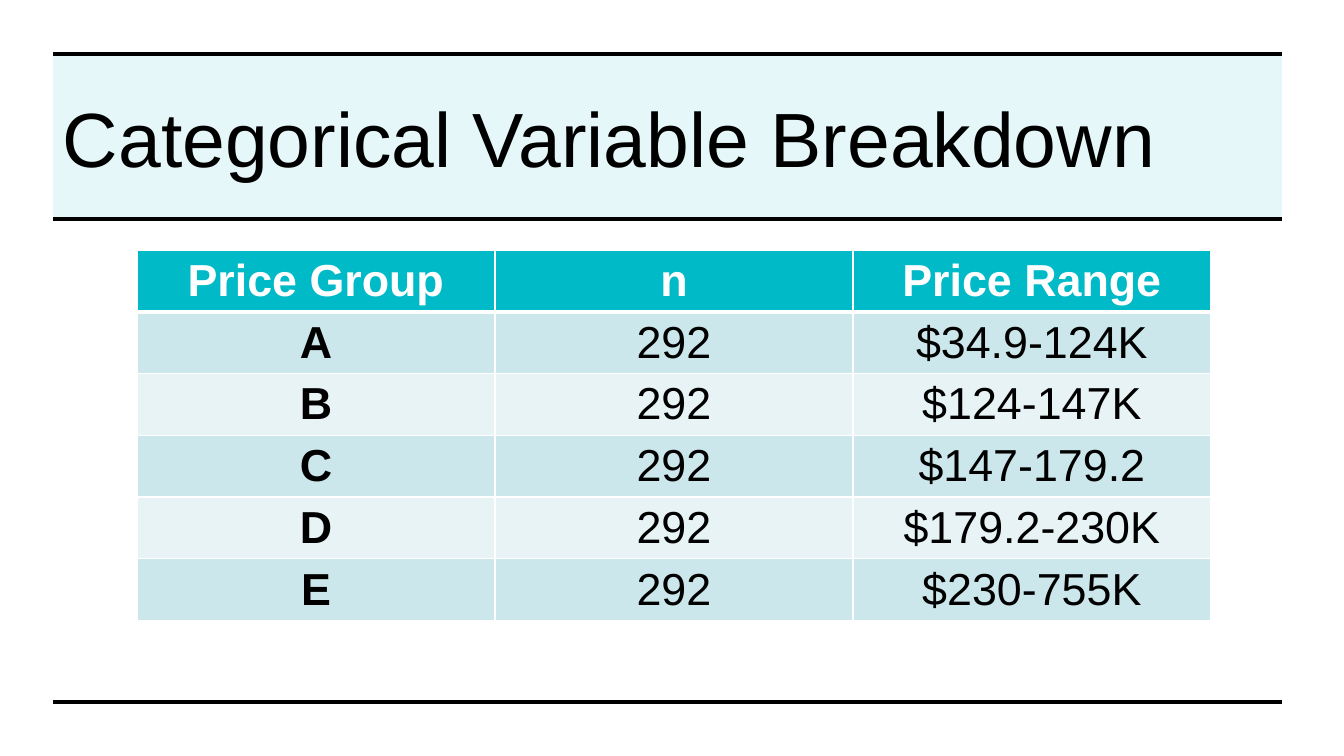
from lxml import etree
from pptx import Presentation
from pptx.dml.color import RGBColor
from pptx.enum.shapes import MSO_CONNECTOR, MSO_SHAPE
from pptx.enum.text import MSO_ANCHOR, PP_ALIGN
from pptx.oxml.ns import qn
from pptx.util import Pt

EMU_PER_PX = 914400 / 100.8
STRAIGHT = MSO_CONNECTOR.STRAIGHT
RECTANGLE = MSO_SHAPE.RECTANGLE
MIDDLE = MSO_ANCHOR.MIDDLE
LEFT, CENTER = PP_ALIGN.LEFT, PP_ALIGN.CENTER

BLACK = RGBColor(0x00, 0x00, 0x00)
WHITE = RGBColor(0xFF, 0xFF, 0xFF)
TEAL = RGBColor(0x00, 0xBA, 0xC8)
BAND_DARK = RGBColor(0xCC, 0xE7, 0xEB)
BAND_LIGHT = RGBColor(0xE7, 0xF3, 0xF5)

RULE_LEFT, RULE_RIGHT = 53, 1282
RULE_TOPS = (54, 219, 702)
COLUMN_WIDTH, ROW_HEIGHT = 358, 60
HEADINGS = ("Price Group", "n", "Price Range")
PRICE_GROUPS = (
    ("A", "292", "$34.9-124K"),
    ("B", "292", "$124-147K"),
    ("C", "292", "$147-179.2"),
    ("D", "292", "$179.2-230K"),
    ("E", "292", "$230-755K"),
)


def px(length):
    return round(length * EMU_PER_PX)


def write_text(frame, text, *, size, color=BLACK, bold=False, align=LEFT):
    paragraph = frame.paragraphs[0]
    paragraph.alignment = align
    run = paragraph.add_run()
    run.text = text
    run.font.name = "Arial"
    run.font.size = Pt(size)
    run.font.bold = bold
    run.font.color.rgb = color


def add_title_band(slide, left, top, width, height):
    """Add a teal rectangle at 10% opacity."""
    band = slide.shapes.add_shape(RECTANGLE, px(left), px(top), px(width), px(height))
    band.shadow.inherit = False
    band.line.fill.background()
    band.fill.solid()
    band.fill.fore_color.rgb = TEAL
    color = band.fill._xPr.find(qn("a:solidFill"))[0]
    etree.SubElement(color, qn("a:alpha"), val="10000")


def add_title(slide, text, left, top, width, height):
    box = slide.shapes.add_textbox(px(left), px(top), px(width), px(height))
    box.text_frame.word_wrap = True
    box.text_frame.vertical_anchor = MIDDLE
    write_text(box.text_frame, text, size=54.9)


def add_rule(slide, top):
    rule = slide.shapes.add_connector(
        STRAIGHT, px(RULE_LEFT), px(top), px(RULE_RIGHT), px(top))
    rule.line.color.rgb = BLACK
    rule.line.width = Pt(2.25)
    etree.SubElement(rule._element.spPr, qn("a:effectLst"))


def set_borders(cell, **widths):
    """Draw white cell borders; widths are in points, keyed by side."""
    properties = cell._tc.get_or_add_tcPr()
    for side, width in widths.items():
        border = etree.SubElement(properties, qn(f"a:ln{side}"), w=str(Pt(width)))
        fill = etree.SubElement(border, qn("a:solidFill"))
        etree.SubElement(fill, qn("a:srgbClr"), val=str(WHITE))


def add_price_table(slide, left, top):
    rows = (HEADINGS, *PRICE_GROUPS)
    table = slide.shapes.add_table(
        len(rows), len(HEADINGS), px(left), px(top),
        px(COLUMN_WIDTH * len(HEADINGS)), px(ROW_HEIGHT * len(rows))).table
    for column in table.columns:
        column.width = px(COLUMN_WIDTH)
    for row_index, values in enumerate(rows):
        table.rows[row_index].height = px(ROW_HEIGHT)
        is_heading = row_index == 0
        band = BAND_DARK if row_index % 2 else BAND_LIGHT
        for column_index, value in enumerate(values):
            cell = table.cell(row_index, column_index)
            set_borders(cell, L=1, R=1, T=3 if row_index == 1 else 1,
                        B=3 if is_heading else 1)
            cell.fill.solid()
            cell.fill.fore_color.rgb = TEAL if is_heading else band
            cell.margin_top = cell.margin_bottom = px(4)
            cell.vertical_anchor = MIDDLE
            write_text(cell.text_frame, value, size=32, align=CENTER,
                       color=WHITE if is_heading else BLACK,
                       bold=is_heading or column_index == 0)


def main():
    deck = Presentation()
    deck.slide_width, deck.slide_height = px(1344), px(756)
    slide = deck.slides.add_slide(deck.slide_layouts[6])
    add_title_band(slide, RULE_LEFT, 54, RULE_RIGHT - RULE_LEFT, 163)
    add_title(slide, "Categorical Variable Breakdown", RULE_LEFT, 80, 1192, 113)
    for top in RULE_TOPS:
        add_rule(slide, top)
    add_price_table(slide, 137, 250)
    deck.save("out.pptx")


if __name__ == "__main__":
    main()
